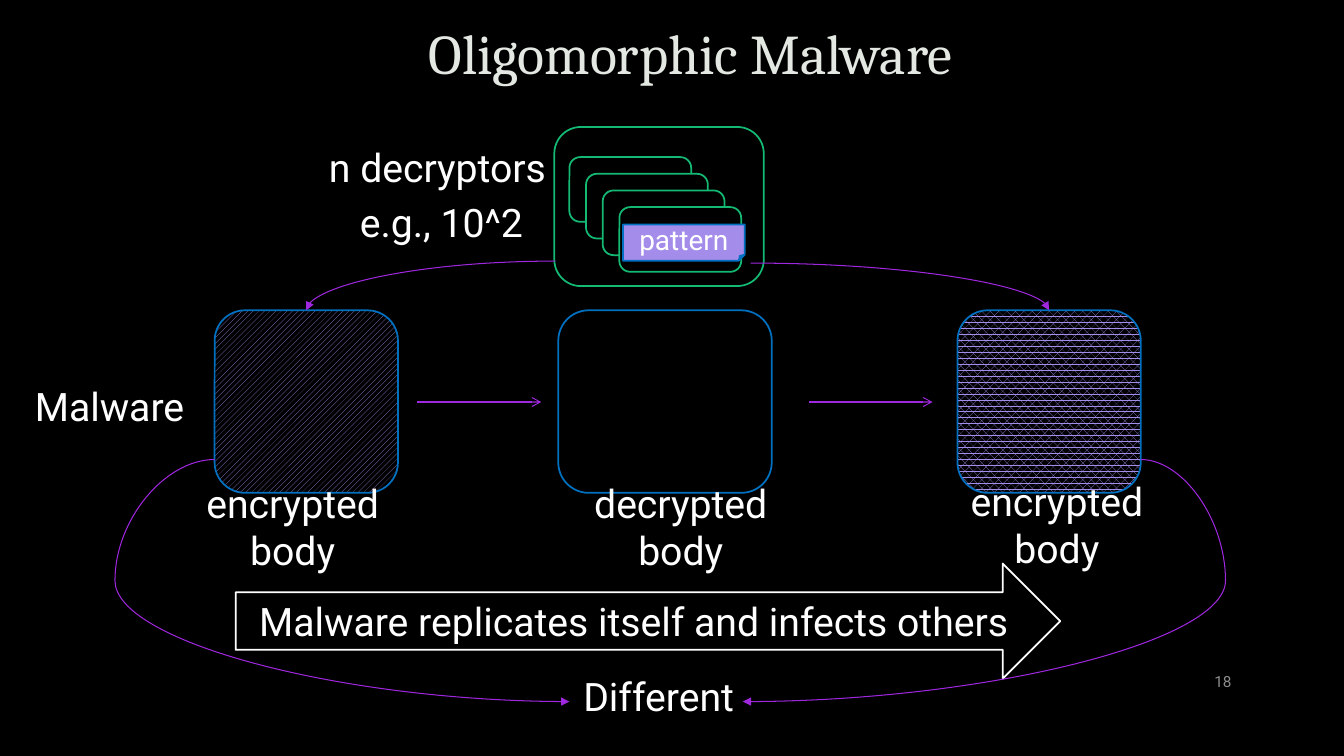
from dataclasses import dataclass

from lxml.etree import SubElement
from pptx import Presentation
from pptx.dml.color import RGBColor
from pptx.enum.dml import MSO_PATTERN
from pptx.enum.shapes import MSO_CONNECTOR, MSO_SHAPE
from pptx.enum.text import MSO_ANCHOR, MSO_AUTO_SIZE, PP_ALIGN
from pptx.oxml.ns import qn
from pptx.util import Cm, Pt


@dataclass(frozen=True)
class Theme:
    black: RGBColor = RGBColor(0x00, 0x00, 0x00)
    white: RGBColor = RGBColor(0xFF, 0xFF, 0xFF)
    heading: RGBColor = RGBColor(0xE4, 0xE8, 0xE2)
    gray: RGBColor = RGBColor(0x8C, 0x8C, 0x8C)
    blue: RGBColor = RGBColor(0x00, 0x70, 0xC0)
    green: RGBColor = RGBColor(0x14, 0xB9, 0x73)
    lilac: RGBColor = RGBColor(0xA3, 0x8C, 0xEA)
    purple: RGBColor = RGBColor(0x9F, 0x27, 0xDD)
    title_font: str = "Cambria"
    body_font: str = "Roboto"
    title_size: Pt = Pt(40)
    label_size: Pt = Pt(28)
    pattern_size: Pt = Pt(20)
    number_size: Pt = Pt(11)
    outline: Pt = Pt(1.25)
    flow: Pt = Pt(0.75)


theme = Theme()


def write(holder, text, size=theme.label_size, color=theme.white,
          font=theme.body_font, align=PP_ALIGN.CENTER, spacing=None):
    frame = holder.text_frame
    frame.word_wrap = True
    frame.auto_size = MSO_AUTO_SIZE.NONE
    frame.vertical_anchor = MSO_ANCHOR.MIDDLE
    paragraph = frame.paragraphs[0]
    paragraph.alignment = align
    paragraph.line_spacing = spacing
    run = paragraph.add_run()
    run.text = text
    run.font.size, run.font.name = size, font
    run.font.color.rgb = color


def draw(kind, left, top, width, height, line, fill=None, pattern=None):
    shape = slide.shapes.add_shape(kind, Cm(left), Cm(top), Cm(width), Cm(height))
    shape.shadow.inherit = False
    shape.line.color.rgb = line
    shape.line.width = theme.outline
    if pattern:
        shape.fill.patterned()
        shape.fill.pattern = pattern
        shape.fill.fore_color.rgb = fill
        shape.fill.back_color.rgb = theme.black
    elif fill is not None:
        shape.fill.solid()
        shape.fill.fore_color.rgb = fill
    else:
        shape.fill.background()
    return shape


# Slide and title
deck = Presentation()
deck.slide_width, deck.slide_height = Cm(33.87), Cm(19.05)
slide = deck.slides.add_slide(deck.slide_layouts[5])
slide.background.fill.solid()
slide.background.fill.fore_color.rgb = theme.black

title = slide.shapes.title
title.left, title.top, title.width, title.height = Cm(7.39), Cm(-0.05), Cm(20.02), Cm(2.95)
write(title, "Oligomorphic Malware", size=theme.title_size, color=theme.heading,
      font=theme.title_font, spacing=0.9)

# Malware bodies: left, width, pattern
body_top, body_height = 7.82, 4.6
for left, width, pattern in [
    (5.41, 4.62, MSO_PATTERN.WIDE_UPWARD_DIAGONAL),
    (14.07, 5.38, None),
    (24.13, 4.62, MSO_PATTERN.PERCENT_60),
]:
    draw(MSO_SHAPE.ROUNDED_RECTANGLE, left, body_top, width, body_height, theme.blue,
         fill=theme.lilac if pattern else None, pattern=pattern)

# Replication arrow
replication = draw(MSO_SHAPE.RIGHT_ARROW, 5.94, 14.2, 20.78, 2.9, theme.white)
write(replication, "Malware replicates itself and infects others")

# Stack of decryptors, the front one holding the pattern
card_step = 0.42
for i in range(4):
    draw(MSO_SHAPE.ROUNDED_RECTANGLE, 14.35 + i * card_step, 3.96 + i * card_step,
         3.07, 1.63, theme.green, fill=theme.black)
pattern_note = draw(MSO_SHAPE.FOLDED_CORNER, 15.7, 5.66, 3.07, 0.91, theme.blue, fill=theme.lilac)
write(pattern_note, "pattern", size=theme.pattern_size)
draw(MSO_SHAPE.ROUNDED_RECTANGLE, 13.97, 3.2, 5.28, 4.01, theme.green)

# Arrows: preset, start, end, arrowhead, bend
step_y, leave_y, different_y = 10.13, 11.58, 17.68
for preset, start, end, head, bend in [
    ("line", (10.52, step_y), (13.64, step_y), "arrow", None),
    ("line", (20.4, step_y), (23.5, step_y), "arrow", None),
    ("curvedConnector2", (14, 6.58), (7.72, body_top), "triangle", None),
    ("curvedConnector2", (18.92, 6.63), (26.44, body_top), "triangle", None),
    ("curvedConnector3", (5.41, leave_y), (14.35, different_y), "triangle", -28100),
    ("curvedConnector3", (28.75, leave_y), (18.72, different_y), "triangle", -21300),
]:
    arrow = slide.shapes.add_connector(MSO_CONNECTOR.CURVE, *map(Cm, start + end))
    arrow.line.color.rgb = theme.purple
    arrow.line.width = theme.flow
    properties = arrow._element.spPr
    SubElement(properties.find(qn("a:ln")), qn("a:tailEnd"), type=head)
    SubElement(properties, qn("a:effectLst"))
    geometry = properties.find(qn("a:prstGeom"))
    geometry.set("prst", preset)
    if bend is not None:
        SubElement(geometry.find(qn("a:avLst")), qn("a:gd"), name="adj1", fmla=f"val {bend}")

# Labels
for text, left, top, width, height in [
    ("Malware", -0.81, 9.37, 7.14, 1.73),
    ("encrypted body", 3.96, 11.96, 6.83, 2.62),
    ("decrypted body", 13.74, 11.96, 6.83, 2.62),
    ("encrypted body", 23.22, 11.91, 6.83, 2.62),
    ("n decryptors", 6.63, 2.9, 8.79, 2.62),
    ("e.g., 10^2", 6.73, 4.27, 8.79, 2.62),
    ("Different", 13.03, 16.66, 7.14, 1.73),
]:
    write(slide.shapes.add_textbox(Cm(left), Cm(top), Cm(width), Cm(height)), text)

# Slide number
number = slide.shapes.add_textbox(Cm(29.21), Cm(16.66), Cm(2.08), Cm(1.02))
write(number, "18", size=theme.number_size, color=theme.gray, align=PP_ALIGN.RIGHT)

deck.save("out.pptx")
